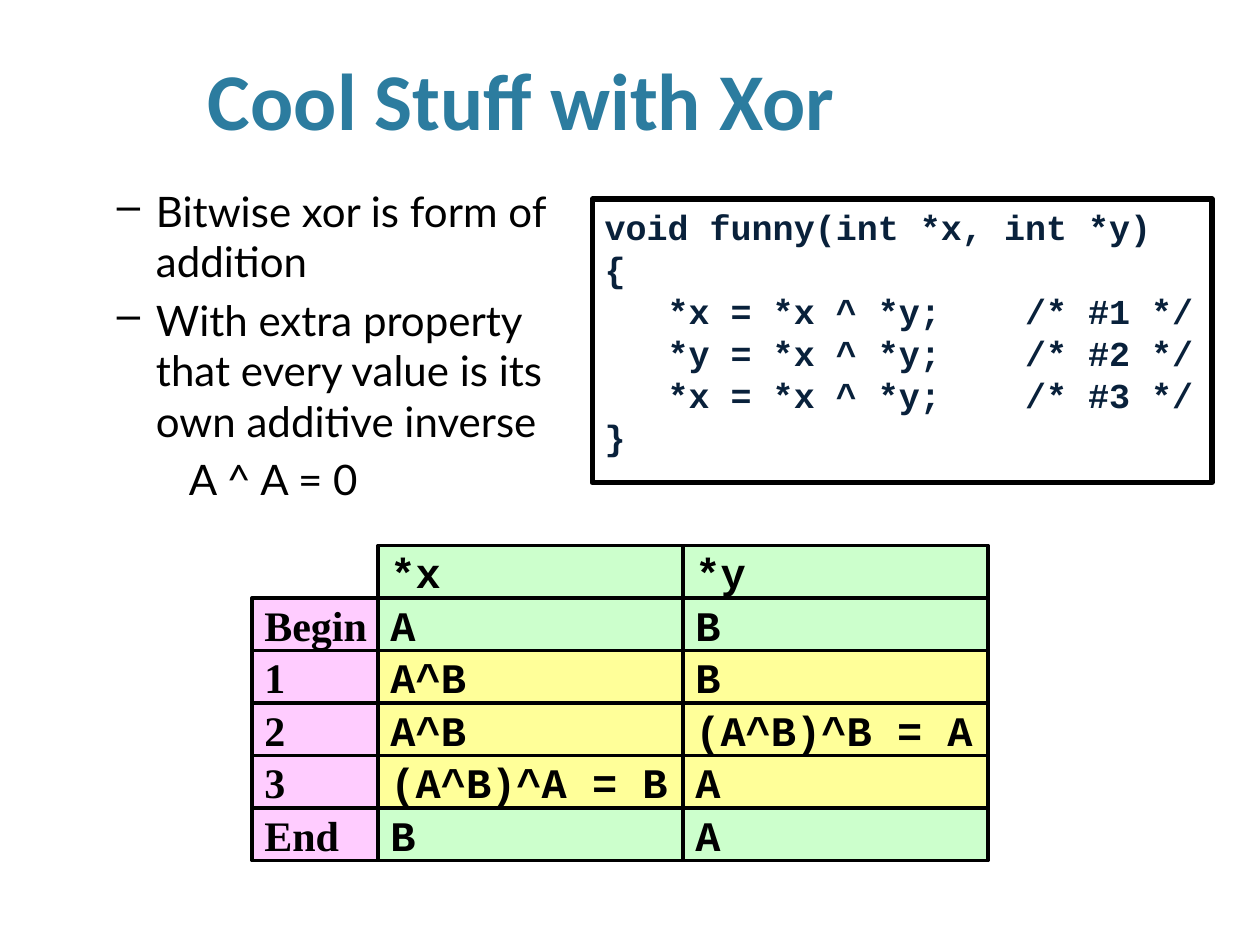
from lxml.etree import SubElement
from pptx import Presentation
from pptx.dml.color import RGBColor
from pptx.enum.shapes import MSO_SHAPE as Shape
from pptx.enum.text import MSO_ANCHOR as Anchor, MSO_AUTO_SIZE as AutoSize, PP_ALIGN as Align
from pptx.oxml.ns import qn
from pptx.util import Inches, Pt

TITLE = "Cool Stuff with Xor"
POINTS = [
    {"text": "Bitwise xor is form of addition", "level": 1, "indent": (0.81, -0.31), "bullet": "–"},
    {"text": "With extra property that every value is its own additive inverse",
     "level": 1, "indent": (0.81, -0.31), "bullet": "–", "before": 4.8},
    {"text": "A ^ A = 0", "level": 2, "indent": (1.25, -0.18), "before": 4.8},
]
CODE = """void funny(int *x, int *y)
{
   *x = *x ^ *y;    /* #1 */
   *y = *x ^ *y;    /* #2 */
   *x = *x ^ *y;    /* #3 */
}""".split("\n")
GREEN, YELLOW, PINK, BLACK = "CCFFCC", "FFFF99", "FFCCFF", "000000"
STEPS = [
    (GREEN, None, "*x", "*y"),
    (GREEN, "Begin", "A", "B"),
    (YELLOW, "1", "A^B", "B"),
    (YELLOW, "2", "A^B", "(A^B)^B = A"),
    (YELLOW, "3", "(A^B)^A = B", "A"),
    (GREEN, "End", "B", "A"),
]
COLUMNS = [(2, 1), (3, 2.42), (5.42, 2.42)]
GRID_TOP, ROW_HEIGHT = 4.33, 5 / 12


def color(value):
    return RGBColor.from_string(value)


def place(box, left, top, width, height):
    box.left, box.top, box.width, box.height = map(Inches, (left, top, width, height))


def write(para, text, font, size, fill=BLACK, bold=False, align=Align.LEFT,
          level=0, indent=None, bullet=None, before=0, spacing=None):
    para.alignment, para.level, para.space_before = align, level, Pt(before)
    if spacing:
        para.line_spacing = Pt(spacing)
    props = para._p.get_or_add_pPr()
    if indent:
        props.set("marL", str(Inches(indent[0])))
        props.set("indent", str(Inches(indent[1])))
    if bullet:
        SubElement(props, qn("a:buChar"), char=bullet)
    span = para.add_run()
    span.text = text
    span.font.name, span.font.size, span.font.bold = font, Pt(size), bold
    span.font.color.rgb = color(fill)


def write_all(frame, items, **style):
    for index, item in enumerate(items):
        para = frame.add_paragraph() if index else frame.paragraphs[0]
        write(para, **item, **style)


def add_box(page, left, top, width, height, line, fill=None, anchor=Anchor.TOP):
    box = page.shapes.add_shape(Shape.RECTANGLE, *map(Inches, (left, top, width, height)))
    box.shadow.inherit = False
    box.line.color.rgb, box.line.width = color(BLACK), Pt(line)
    if fill:
        box.fill.solid()
        box.fill.fore_color.rgb = color(fill)
    else:
        box.fill.background()
    frame = box.text_frame
    frame.word_wrap, frame.vertical_anchor, frame.margin_right = True, anchor, 0
    return frame


def add_title(page):
    title = page.shapes.title
    place(title, 0.92, 0.35, 6.43, 0.63)
    frame = title.text_frame
    frame.auto_size, frame.vertical_anchor = AutoSize.NONE, Anchor.TOP
    write(frame.paragraphs[0], TITLE, "Calibri", 46, "2C7C9F", bold=True, align=Align.CENTER)


def add_points(page):
    frame = page.shapes.add_textbox(*map(Inches, (0.33, 1.42, 4.17, 2.75))).text_frame
    frame.word_wrap = True
    write_all(frame, POINTS, font="Lato", size=24)


def add_code(page):
    frame = add_box(page, 4.7, 1.58, 4.92, 2.25, line=3)
    write_all(frame, [{"text": line} for line in CODE], font="Courier New", size=20,
              fill="09213B", bold=True, indent=(0.42, -0.42), spacing=24)


def add_steps(page):
    for row, (fill, *values) in enumerate(STEPS):
        for column, ((left, width), text) in enumerate(zip(COLUMNS, values)):
            if text is None:
                continue
            frame = add_box(page, left, GRID_TOP + row * ROW_HEIGHT, width, ROW_HEIGHT, line=2,
                            fill=fill if column else PINK, anchor=Anchor.MIDDLE)
            font = "Courier New" if column else "Times New Roman"
            write(frame.paragraphs[0], text, font, 24, bold=True)


def main():
    """Build the slide on swapping two values with xor."""
    deck = Presentation()
    deck.slide_width, deck.slide_height = Inches(10), Inches(7.5)
    page = deck.slides.add_slide(deck.slide_layouts[5])
    add_title(page)
    add_code(page)
    add_points(page)
    add_steps(page)
    deck.save("out.pptx")


if __name__ == "__main__":
    main()
